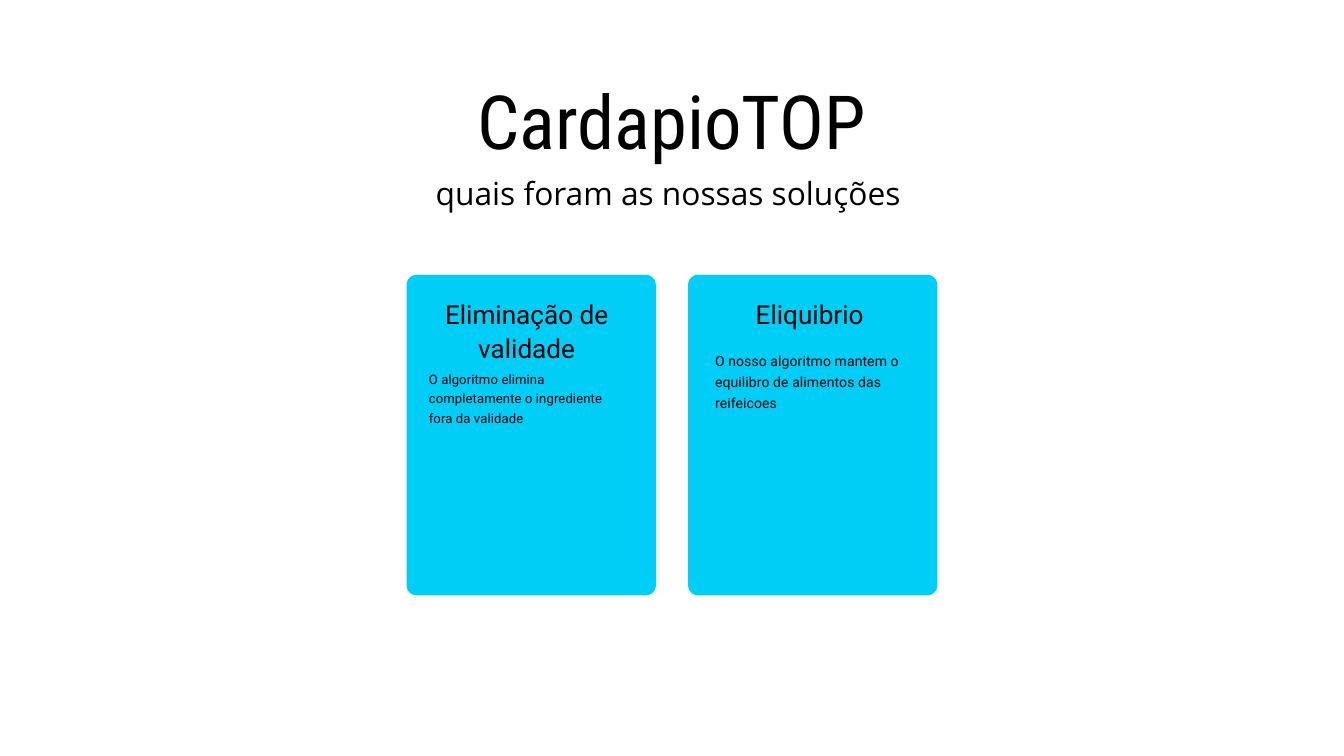
import pptx
import pptx.dml.color
import pptx.enum.shapes
import pptx.enum.text
import pptx.util

Cm = pptx.util.Cm
Pt = pptx.util.Pt
CENTER = pptx.enum.text.PP_ALIGN.CENTER
LEFT = pptx.enum.text.PP_ALIGN.LEFT


def color(hex_string):
    return pptx.dml.color.RGBColor.from_string(hex_string)


def write(shape, text, box, size, line, font="Roboto", align=CENTER, spacing=0):
    shape.left, shape.top, shape.width, shape.height = [Cm(length) for length in box]
    frame = shape.text_frame
    frame.word_wrap = True
    frame.auto_size = pptx.enum.text.MSO_AUTO_SIZE.NONE
    frame.vertical_anchor = pptx.enum.text.MSO_ANCHOR.TOP
    frame.margin_left = frame.margin_top = frame.margin_right = frame.margin_bottom = 0
    paragraph = frame.paragraphs[0]
    paragraph.alignment = align
    paragraph.line_spacing = Pt(line)
    paragraph.space_before = paragraph.space_after = Pt(0)
    run = paragraph.add_run()
    run.text = text
    run.font.name = font
    run.font.size = Pt(size)
    run.font.color.rgb = color("000000")
    if spacing:
        run.font._element.set("spc", str(spacing))


presentation = pptx.Presentation()
presentation.slide_width = Cm(50.8)
presentation.slide_height = Cm(28.58)
slide = presentation.slides.add_slide(presentation.slide_layouts[0])
slide.background.fill.solid()
slide.background.fill.fore_color.rgb = color("FFFFFF")

write(slide.shapes.title, "CardapioTOP", (5.82, 2.84, 39.14, 3.38),
      size=80, line=96, font="Roboto Condensed")
write(slide.placeholders[1], "quais foram as nossas soluções", (15.57, 6.32, 19.38, 1.6),
      size=34, line=47.6, font="Open Sans")

cards = [
    (15.37, 16.21, "Eliminação de validade", 2.51,
     "O algoritmo elimina completamente o ingrediente fora da validade", 13.89, 14, 21),
    (26.01, 27.03, "Eliquibrio ", 1.24,
     "O nosso algoritmo mantem o equilibro de alimentos das reifeicoes", 13.16, 15, 22.5),
]
text_width = 7.39
for card_left, text_left, heading, heading_height, body, body_top, body_size, body_line in cards:
    card = slide.shapes.add_shape(pptx.enum.shapes.MSO_SHAPE.ROUNDED_RECTANGLE,
                                  Cm(card_left), Cm(10.39), Cm(9.42), Cm(12.12))
    card.adjustments[0] = 0.04
    card.shadow.inherit = False
    card.fill.solid()
    card.fill.fore_color.rgb = color("00CEF6")
    card.line.fill.background()

    write(slide.shapes.add_textbox(0, 0, 0, 0), heading,
          (text_left, 11.2, text_width, heading_height), size=28, line=36.4)
    write(slide.shapes.add_textbox(0, 0, 0, 0), body,
          (text_left, body_top, text_width, 2.3),
          size=body_size, line=body_line, align=LEFT, spacing=10)

presentation.save("out.pptx")
